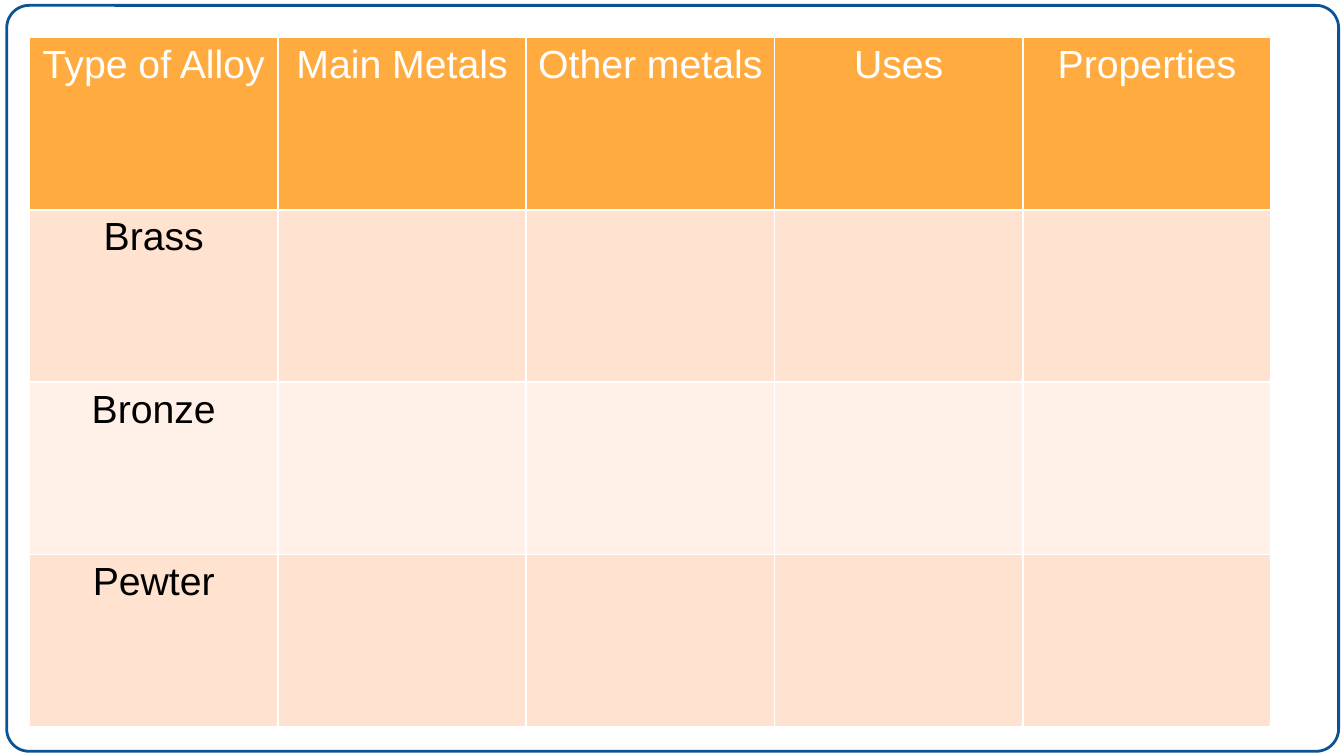
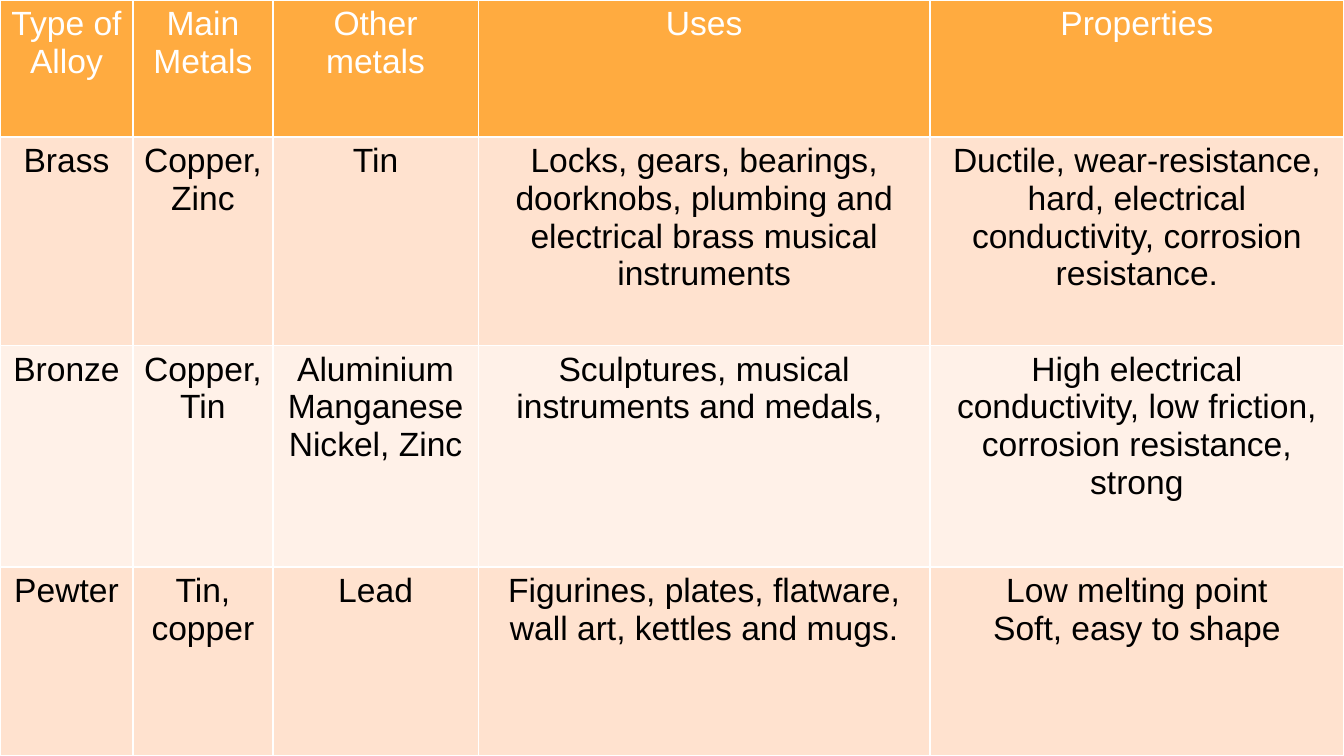
import pptx
import pptx.dml.color
import pptx.enum.shapes
import pptx.enum.text
import pptx.oxml
import pptx.oxml.ns
import pptx.util

Inches = pptx.util.Inches
Pt = pptx.util.Pt

WIDTH = 10
HEIGHT = WIDTH * 9 / 16
FONT = "Arial"
WHITE, BLACK, BLUE = "FFFFFF", "000000", "0B5394"
HEAD, BANDS = "FFAB40", ("FFE2CF", "FFF1E8")

TITLES = ["Type of Alloy", "Main Metals", "Other metals", "Uses", "Properties"]
ALLOYS = ["Brass", "Bronze", "Pewter"]
FACTS = [
    ["Copper, Zinc", "Tin",
     "Locks, gears, bearings, doorknobs, plumbing and electrical brass "
     "musical instruments",
     "Ductile, wear-resistance, hard, electrical conductivity, "
     "corrosion resistance."],
    ["Copper, Tin", "Aluminium\nManganese\nNickel, Zinc",
     "Sculptures, musical instruments and medals, ",
     "High electrical conductivity, low friction, corrosion resistance, "
     "strong"],
    ["Tin, copper", "Lead",
     "Figurines, plates, flatware, wall art, kettles and mugs.",
     "Low melting point\nSoft, easy to shape"],
]


def color(code):
    return pptx.dml.color.RGBColor.from_string(code)


def add_frame(slide):
    """Rounded outline around the slide."""
    frame = slide.shapes.add_shape(
        pptx.enum.shapes.MSO_SHAPE.ROUNDED_RECTANGLE,
        Inches(0.05), Inches(0.04), Inches(9.91), Inches(5.55))
    frame.adjustments[0] = 0.03
    frame.shadow.inherit = False
    frame.fill.background()
    frame.line.color.rgb = color(BLUE)
    frame.line.width = Pt(1.5)


def set_edges(cell):
    """Thin white borders on all sides of a cell."""
    props = cell._tc.get_or_add_tcPr()
    for side in "LRTB":
        props.append(pptx.oxml.parse_xml(
            f'<a:ln{side} {pptx.oxml.ns.nsdecls("a")} w="{Pt(1)}">'
            f'<a:solidFill><a:srgbClr val="{WHITE}"/></a:solidFill>'
            f'</a:ln{side}>'))


def fill_cell(cell, text, size, row):
    """Text, margins, borders and fill of one cell."""
    cell.margin_left = cell.margin_right = Inches(0.07)
    cell.margin_top = cell.margin_bottom = Inches(0.04)
    set_edges(cell)
    cell.fill.solid()
    cell.fill.fore_color.rgb = color(BANDS[(row - 1) % 2] if row else HEAD)
    cell.text = text
    for para in cell.text_frame.paragraphs:
        para.alignment = pptx.enum.text.PP_ALIGN.CENTER
        para.font.name = FONT
        para.font.size = Pt(size)
        para.font.bold = False
        para.font.color.rgb = color(BLACK if row else WHITE)


def add_grid(slide, left, top, widths, heights, facts, size):
    """Table of alloys with a header row and banded body."""
    table = slide.shapes.add_table(
        len(heights), len(widths), Inches(left), Inches(top),
        Inches(sum(widths)), Inches(sum(heights))).table
    for col, width in zip(table.columns, widths):
        col.width = Inches(width)
    for line, height in zip(table.rows, heights):
        line.height = Inches(height)
    rows = [TITLES] + [[name] + fact for name, fact in zip(ALLOYS, facts)]
    for row, texts in enumerate(rows):
        for col, text in enumerate(texts):
            fill_cell(table.cell(row, col), text, size, row)


def add_slide(deck):
    slide = deck.slides.add_slide(deck.slide_layouts[6])
    slide.background.fill.solid()
    slide.background.fill.fore_color.rgb = color(WHITE)
    add_frame(slide)
    return slide


def main():
    deck = pptx.Presentation()
    deck.slide_width, deck.slide_height = Inches(WIDTH), Inches(HEIGHT)

    # Table to complete
    blank = [[""] * (len(TITLES) - 1)] * len(ALLOYS)
    add_grid(add_slide(deck), 0.22, 0.28, [9.24 / 5] * 5, [5.13 / 4] * 4,
             blank, 21)

    # Completed table, filling the slide
    tops = [1.02, 1.55, 1.65]
    add_grid(add_slide(deck), 0, 0, [0.99, 1.04, 1.53, 3.36, 3.08],
             tops + [HEIGHT - sum(tops)], FACTS, 18)

    deck.save("out.pptx")


if __name__ == "__main__":
    main()
